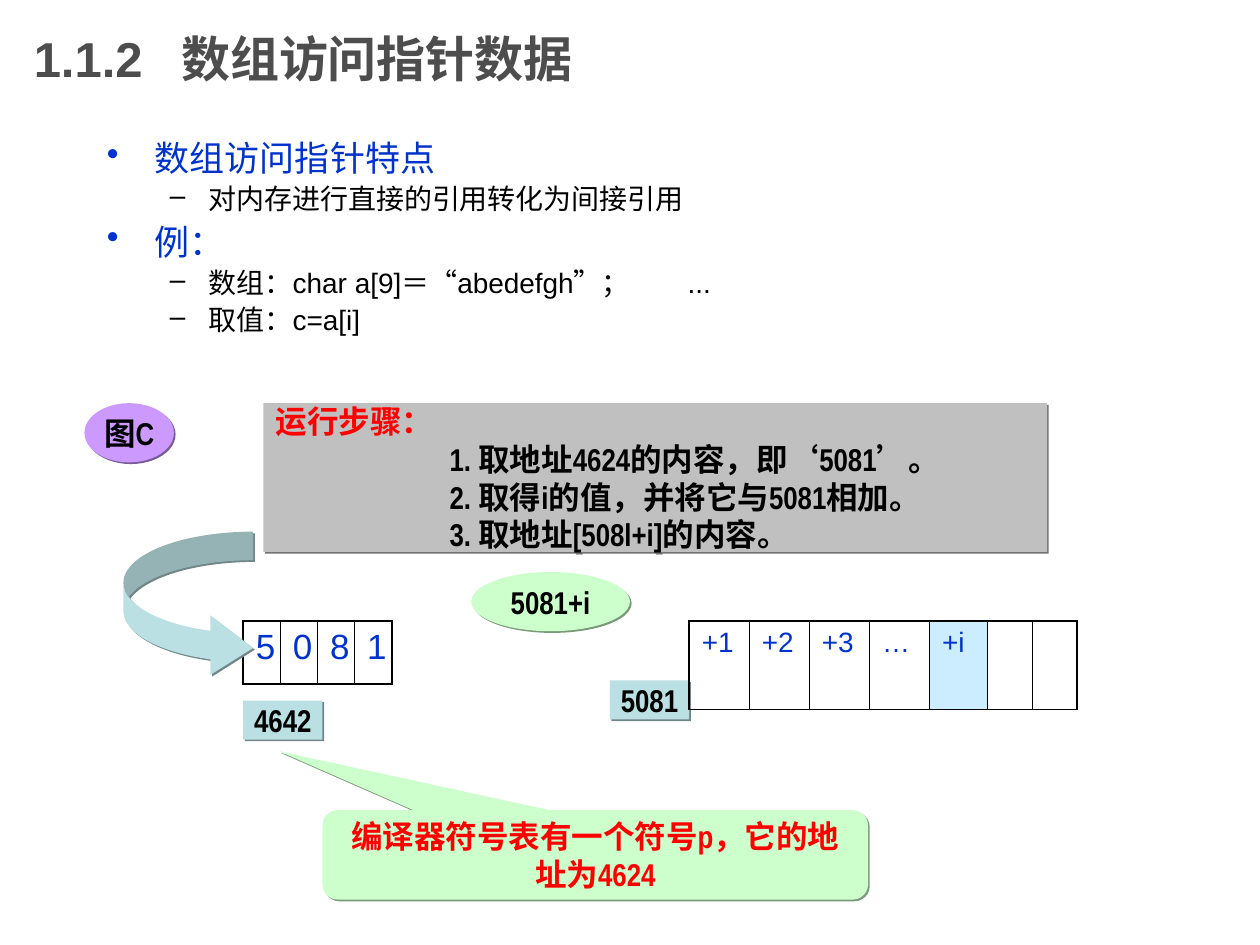
"""Builds a slide on reading pointer data through an array."""
from dataclasses import dataclass
from lxml.etree import SubElement
from pptx import Presentation
from pptx.dml.color import RGBColor
from pptx.enum.shapes import MSO_SHAPE as Shape
from pptx.enum.text import MSO_ANCHOR as Anchor, PP_ALIGN as Align
from pptx.oxml import parse_xml
from pptx.oxml.ns import nsdecls, qn
from pptx.util import Inches, Pt

BLACK = RGBColor(0x00, 0x00, 0x00)
RED = RGBColor(0xFF, 0x00, 0x00)
BLUE = RGBColor(0x00, 0x33, 0xCC)
DARK_GRAY = RGBColor(0x4D, 0x4D, 0x4D)
SILVER = RGBColor(0xC0, 0xC0, 0xC0)
MINT = RGBColor(0xCC, 0xFF, 0xCC)
TEAL = RGBColor(0xBB, 0xE0, 0xE3)
PURPLE = RGBColor(0xCC, 0x99, 0xFF)
SKY = RGBColor(0xCC, 0xEC, 0xFF)

COLUMNS, ROWS = 100, 75
SHADE = 0.6
OUTER_LINE, INNER_LINE = 1.08, 0.45


@dataclass
class Style:
    font: str
    size: float
    color: RGBColor
    bold: bool = False


TITLE = Style("Arial", 28, DARK_GRAY, True)
TOPIC = Style("Arial", 20, BLUE)
DETAIL = Style("Arial", 16, BLACK)
DIGIT = Style("Arial", 20, BLUE)
OFFSET = Style("Arial", 16, BLUE)
LABEL = Style("Arial Narrow", 18, BLACK, True)
ALERT = Style("Arial Narrow", 18, RED, True)


class SlideBuilder:
    """Holds the grid and the current slide and draws each kind of element."""

    def __init__(self, deck):
        self.unit_x = deck.slide_width / COLUMNS
        self.unit_y = deck.slide_height / ROWS
        self.slide = deck.slides.add_slide(deck.slide_layouts[6])

    def place(self, left, top, width, height):
        units = (self.unit_x, self.unit_y) * 2
        return [round(n * unit) for n, unit in zip((left, top, width, height), units)]

    def set_text(self, paragraph, text, style, align=None):
        paragraph.text = text
        paragraph.alignment = align
        for run in paragraph.runs:
            run.font.name = style.font
            run.font.size = Pt(style.size)
            run.font.bold = style.bold
            run.font.color.rgb = style.color

    def indent(self, paragraph, margin, hanging=0):
        properties = paragraph._p.get_or_add_pPr()
        properties.set("marL", str(Inches(margin)))
        properties.set("indent", str(-Inches(hanging)))
        return properties

    def tab_stop(self, paragraph, position):
        stops = SubElement(paragraph._p.get_or_add_pPr(), qn("a:tabLst"))
        SubElement(stops, qn("a:tab"), pos=str(Inches(position)), algn="l")

    def text_box(self, box):
        frame = self.slide.shapes.add_textbox(*self.place(*box)).text_frame
        frame.word_wrap = True
        return frame

    def title(self, box, text, tab):
        frame = self.text_box(box)
        frame.vertical_anchor = Anchor.MIDDLE
        self.tab_stop(frame.paragraphs[0], tab)
        self.set_text(frame.paragraphs[0], text, TITLE)

    def outline(self, box, items, tab):
        frame = self.text_box(box)
        levels = ((TOPIC, "•", 0.38, 0.38, 5), (DETAIL, "–", 0.81, 0.31, 4))
        for index, (level, text) in enumerate(items):
            style, bullet, margin, hanging, gap = levels[level]
            paragraph = frame.add_paragraph() if index else frame.paragraphs[0]
            properties = self.indent(paragraph, margin, hanging)
            SubElement(properties, qn("a:buChar"), char=bullet)
            if "\t" in text:
                self.tab_stop(paragraph, tab)
            paragraph.line_spacing = 0.9
            paragraph.space_before = Pt(gap if index else 0)
            self.set_text(paragraph, text, style)

    def block(self, kind, box, fill, text="", style=LABEL, adjustments=(), wrap=False):
        block = self.slide.shapes.add_shape(kind, *self.place(*box))
        for index, value in enumerate(adjustments):
            block.adjustments[index] = value
        block.fill.solid()
        block.fill.fore_color.rgb = fill
        block.line.fill.background()
        self.cast_shadow(block, fill)
        block.text_frame.word_wrap = wrap
        block.text_frame.vertical_anchor = Anchor.MIDDLE
        if text:
            self.set_text(block.text_frame.paragraphs[0], text, style, Align.CENTER)
        return block

    def cast_shadow(self, block, fill):
        block.shadow.inherit = False
        shade = RGBColor(*(int(part * SHADE) for part in fill))
        effects = block._element.spPr.find(qn("a:effectLst"))
        effects.append(parse_xml(
            f'<a:outerShdw {nsdecls("a")} dist="{Pt(1.4)}" dir="2700000" algn="ctr" '
            f'rotWithShape="0"><a:srgbClr val="{shade}"/></a:outerShdw>'))

    def steps(self, box, heading, lines):
        frame = self.block(Shape.RECTANGLE, box, SILVER, wrap=True).text_frame
        self.set_text(frame.paragraphs[0], heading, ALERT, Align.LEFT)
        for line in lines:
            paragraph = frame.add_paragraph()
            self.indent(paragraph, 1.38)
            self.set_text(paragraph, line, LABEL, Align.LEFT)

    def memory(self, left, top, height, widths, values, style, highlight=None):
        box = self.place(left, top, sum(widths), height)
        table = self.slide.shapes.add_table(1, len(widths), *box).table
        table.first_row = table.horz_banding = False
        last = len(widths) - 1
        for index, (width, value) in enumerate(zip(widths, values)):
            table.columns[index].width = round(width * self.unit_x)
            cell = table.cell(0, index)
            self.set_text(cell.text_frame.paragraphs[0], value, style)
            if index == highlight:
                cell.fill.solid()
                cell.fill.fore_color.rgb = SKY
            else:
                cell.fill.background()
            self.borders(cell, index == 0, index == last)

    def borders(self, cell, is_first, is_last):
        weights = {
            "lnL": OUTER_LINE if is_first else INNER_LINE,
            "lnR": OUTER_LINE if is_last else INNER_LINE,
            "lnT": OUTER_LINE,
            "lnB": OUTER_LINE,
        }
        for index, (side, weight) in enumerate(weights.items()):
            cell._tc.get_or_add_tcPr().insert(index, parse_xml(
                f'<a:{side} {nsdecls("a")} w="{Pt(weight)}"><a:solidFill>'
                f'<a:srgbClr val="{BLACK}"/></a:solidFill></a:{side}>'))


def main():
    deck = Presentation()
    deck.slide_width, deck.slide_height = Inches(10), Inches(7.5)
    page = SlideBuilder(deck)

    page.title((1.7, 0, 75, 9.2), "1.1.2\t数组访问指针数据", 1.17)
    page.outline((7.5, 10.7, 85.8, 20.5), (
        (0, "数组访问指针特点"),
        (1, "对内存进行直接的引用转化为间接引用"),
        (0, "例："),
        (1, "数组：char a[9]＝“abedefgh”；\t..."),
        (1, "取值：c=a[i]"),
    ), 4.61)

    page.memory(19.3, 49.3, 5, [2.95] * 4, "5081", DIGIT)
    page.block(Shape.ROUNDED_RECTANGULAR_CALLOUT, (25.6, 64.3, 43.3, 7.1), MINT,
               "编译器符号表有一个符号p，它的地址为4624", ALERT, (-0.58, -1.16, 0.17), True)
    page.steps((20.9, 32, 62.2, 11.8), "运行步骤：", (
        "1. 取地址4624的内容，即‘5081’。",
        "2. 取得i的值，并将它与5081相加。",
        "3. 取地址[508l+i]的内容。",
    ))
    for left, top, address in ((48.4, 54, "5081"), (19.3, 55.6, "4642")):
        page.block(Shape.RECTANGLE, (left, top, 6.3, 3.1), TEAL, address)
    page.block(Shape.CURVED_RIGHT_ARROW, (9.8, 42.2, 10.3, 11.6), TEAL,
               adjustments=(0.22, 0.46, 0.33))
    page.memory(54.7, 49.3, 7, [4.77] * 4 + [4.6, 3.6, 3.5],
                ("+1", "+2", "+3", "…", "+i", "", ""), OFFSET, highlight=4)
    page.block(Shape.OVAL, (37.4, 45.4, 12.6, 4.7), MINT, "5081+i")
    page.block(Shape.OVAL, (6.7, 32, 7.1, 4.7), PURPLE, "图C")
    deck.save("out.pptx")


if __name__ == "__main__":
    main()
